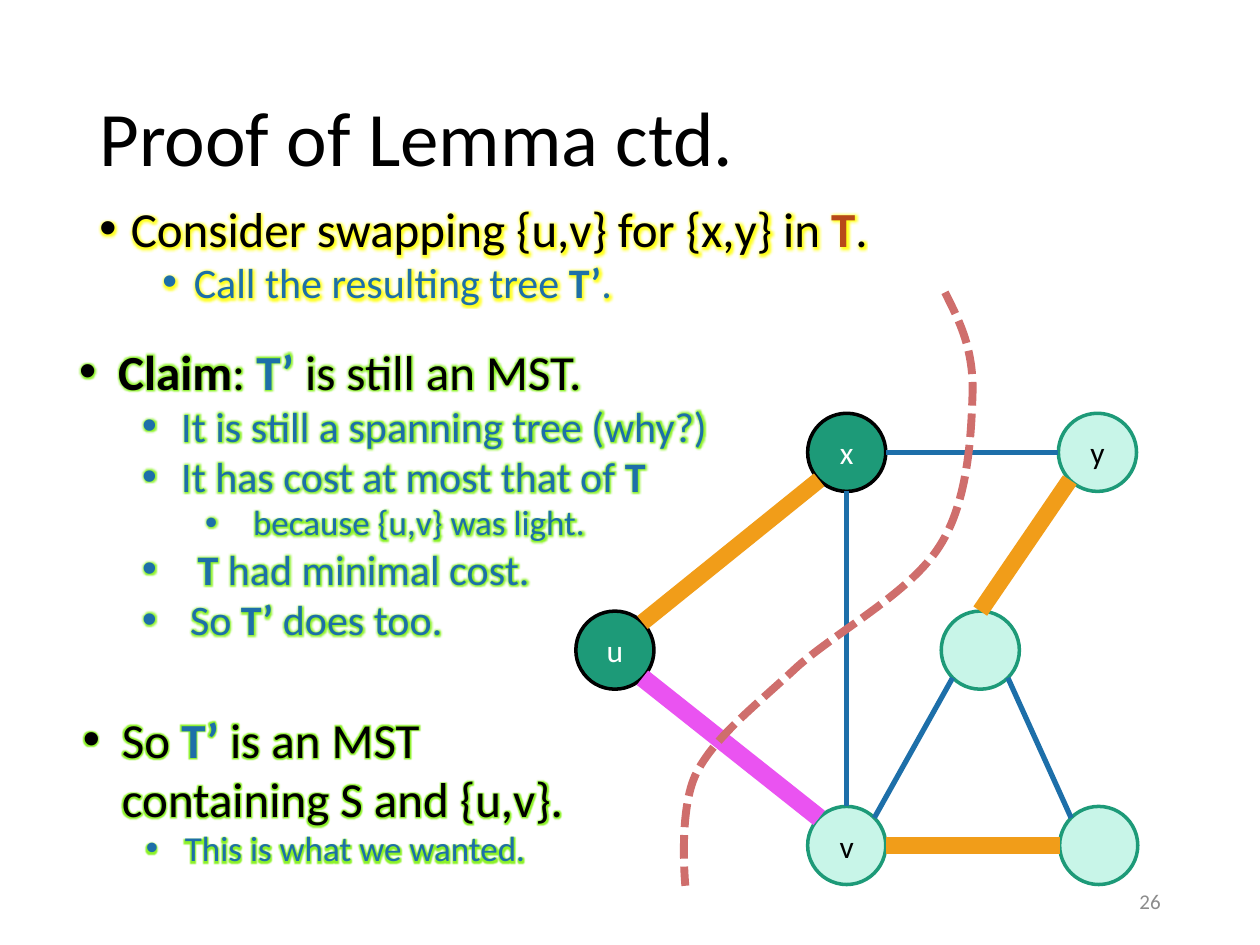
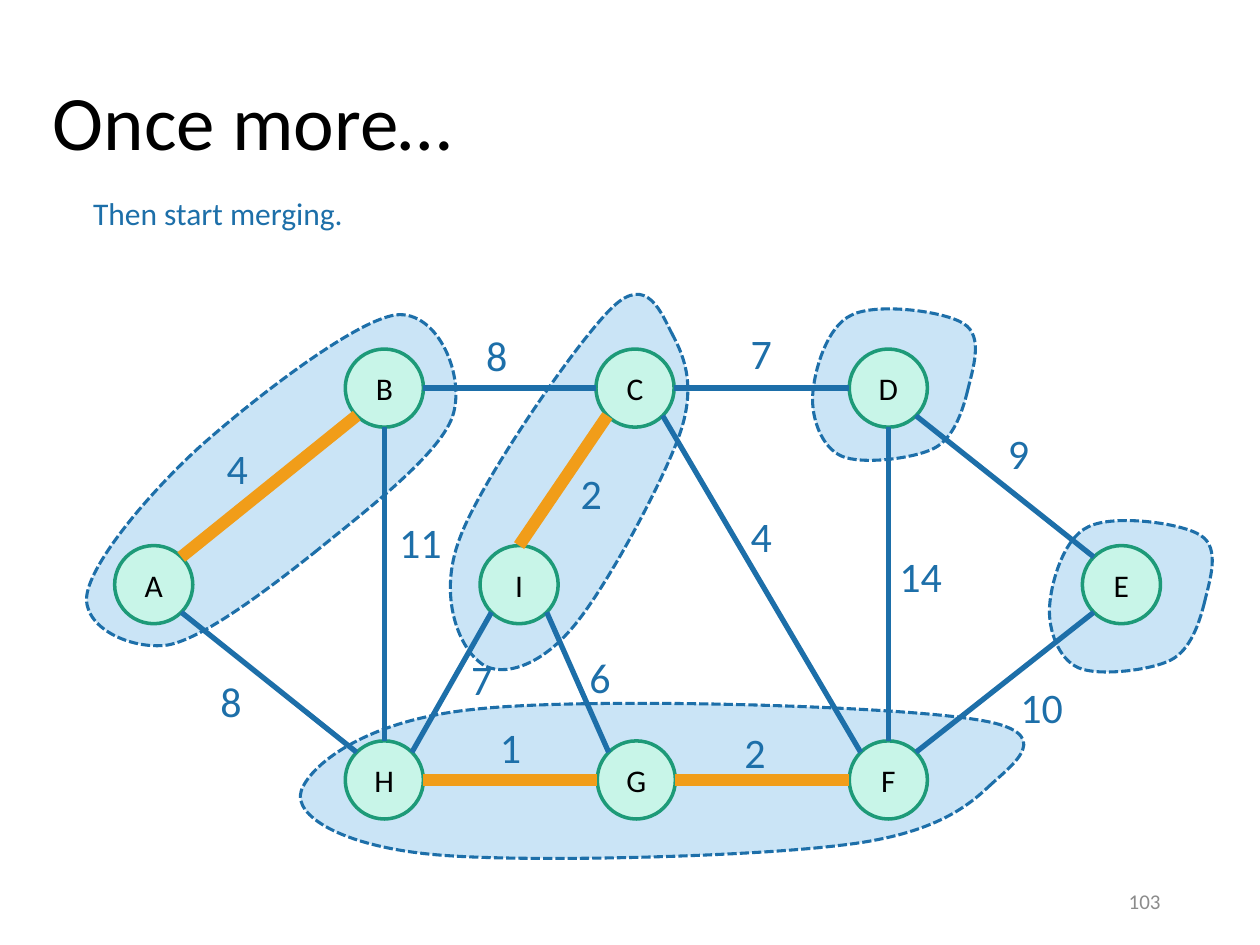
import math
from typing import NamedTuple

from lxml import etree
from pptx import Presentation
from pptx import util as u
from pptx.dml.color import RGBColor
from pptx.enum import dml, shapes, text
from pptx.oxml.ns import qn

FONT = "Calibri"
BLACK, WHITE, GREY = "000000", "FFFFFF", "8C8C8C"
BLUE, SKY, RUST = "1D6FA9", "CAE4F6", "B74919"
TEAL, MINT = "1D9A78", "C8F5E8"
ORANGE, PINK, ROSE = "F19D19", "EA53F1", "CF6E6C"
LEMON, LIME = "FFFF00", "80F010"
SIZE = 0.62  # node diameter


class Run(NamedTuple):
    words: str
    bold: bool = False
    color: str = ""


class Para(NamedTuple):
    runs: list[Run]
    size: float
    color: str = BLACK
    margin: float = 0
    hang: float = 0
    before: float = 0


class Node(NamedTuple):
    name: str
    left: float
    top: float
    label: str = ""
    dark: bool = False


class Edge(NamedTuple):
    """A line between two nodes, each end at a compass point of its circle."""
    start: str
    side: str
    end: str
    into: str
    color: str = BLUE
    width: float = 3


class Label(NamedTuple):
    words: str
    left: float
    top: float


def rgb(color: str) -> RGBColor:
    return RGBColor.from_string(color)


def add_glow(run, color: str, radius: float = 5) -> None:
    props = run._r.get_or_add_rPr()
    fx = etree.SubElement(props, qn("a:effectLst"))
    glow = etree.SubElement(fx, qn("a:glow"), rad=str(u.Pt(radius)))
    tint = etree.SubElement(glow, qn("a:srgbClr"), val=color)
    etree.SubElement(tint, qn("a:alpha"), val="90000")


def fill_para(para, item: Para, glow: str) -> None:
    if item.hang:
        props = para._p.get_or_add_pPr()
        props.set("marL", str(u.Inches(item.margin)))
        props.set("indent", str(-u.Inches(item.hang)))
        etree.SubElement(props, qn("a:buFont"), typeface="Arial")
        etree.SubElement(props, qn("a:buChar"), char="•")
    para.font.name, para.font.size = FONT, u.Pt(item.size)
    para.font.color.rgb = rgb(item.color)
    if item.before:
        para.space_before = u.Pt(item.before)
    for part in item.runs:
        run = para.add_run()
        run.text = part.words
        if part.bold:
            run.font.bold = True
        if part.color:
            run.font.color.rgb = rgb(part.color)
        if glow:
            add_glow(run, glow)


def add_text(slide, at: tuple[float, ...], paras: list[Para], glow: str = "",
             pitch: float = 1, middle: bool = False, right: bool = False) -> None:
    frame = slide.shapes.add_textbox(*map(u.Inches, at)).text_frame
    frame.word_wrap = True
    if middle:
        frame.vertical_anchor = text.MSO_ANCHOR.MIDDLE
    for i, item in enumerate(paras):
        para = frame.add_paragraph() if i else frame.paragraphs[0]
        if pitch != 1:
            para.line_spacing = pitch
        if right:
            para.alignment = text.PP_ALIGN.RIGHT
        fill_para(para, item, glow)


def new_slide(deck, title: str, at: tuple[float, ...], page: int):
    slide = deck.slides.add_slide(deck.slide_layouts[6])
    add_text(slide, at, [Para([Run(title)], 44)], pitch=0.9, middle=True)
    add_text(slide, (7.06, 6.95, 2.25, 0.4),
             [Para([Run(str(page))], 12, GREY)], middle=True, right=True)
    return slide


def add_node(slide, node: Node) -> None:
    oval = slide.shapes.add_shape(
        shapes.MSO_SHAPE.OVAL, u.Inches(node.left), u.Inches(node.top),
        u.Inches(SIZE), u.Inches(SIZE))
    oval.shadow.inherit = False
    oval.fill.solid()
    oval.fill.fore_color.rgb = rgb(TEAL if node.dark else MINT)
    oval.line.color.rgb = rgb(BLACK if node.dark else TEAL)
    oval.line.width = u.Pt(2)
    if node.label:
        para = oval.text_frame.paragraphs[0]
        para.alignment = text.PP_ALIGN.CENTER
        fill_para(para, Para([Run(node.label)], 18, WHITE if node.dark else BLACK), "")


def rim(node: Node, side: str) -> tuple[int, int]:
    """Point on the circle at a compass direction such as N or SE."""
    dx = ("E" in side) - ("W" in side)
    dy = ("S" in side) - ("N" in side)
    reach = SIZE / 2 / math.hypot(dx, dy)
    return (u.Inches(node.left + SIZE / 2 + dx * reach),
            u.Inches(node.top + SIZE / 2 + dy * reach))


def add_graph(slide, nodes: list[Node], edges: list[Edge]) -> None:
    for node in nodes:
        add_node(slide, node)
    known = {node.name: node for node in nodes}
    for edge in edges:
        line = slide.shapes.add_connector(
            shapes.MSO_CONNECTOR.STRAIGHT,
            *rim(known[edge.start], edge.side), *rim(known[edge.end], edge.into))
        line.line.color.rgb = rgb(edge.color)
        line.line.width = u.Pt(edge.width)
        etree.SubElement(line._element.spPr, qn("a:effectLst"))


def add_curve(slide, dots: list[tuple[float, float]], color: str,
              width: float, fill: str = "") -> None:
    """Dashed Bezier outline: a start, then two handles and an end per piece."""
    first, *rest = [(u.Inches(x), u.Inches(y)) for x, y in dots]
    pen = slide.shapes.build_freeform(*first)
    pen.add_line_segments(rest, close=bool(fill))
    shape = pen.convert_to_shape()
    steps = list(shape._element.iter(qn("a:lnTo")))
    for i in range(0, len(steps), 3):
        curve = etree.Element(qn("a:cubicBezTo"))
        steps[i].addprevious(curve)
        for step in steps[i:i + 3]:
            curve.append(step[0])
            step.getparent().remove(step)
    shape.shadow.inherit = False
    if fill:
        shape.fill.solid()
        shape.fill.fore_color.rgb = rgb(fill)
    else:
        shape.fill.background()
    shape.line.color.rgb = rgb(color)
    shape.line.width = u.Pt(width)
    shape.line.dash_style = dml.MSO_LINE.SQUARE_DOT


def build_proof(deck) -> None:
    slide = new_slide(deck, "Proof of Lemma ctd.", (0.69, 0.4, 8.62, 1.45), 26)
    prime = Run("T’ ", True, BLUE)
    add_text(slide, (0.69, 1.62, 7.03, 0.95), [
        Para([Run("Consider swapping {u,v} for {x,y} in "), Run("T", True, RUST),
              Run(".")], 28, BLACK, 0.25, 0.25),
        Para([Run("Call the resulting tree "), Run("T’", True), Run(".")],
             24, BLUE, 0.75, 0.25, 5),
    ], LEMON, 0.8)
    add_text(slide, (0.53, 2.66, 5.35, 2.52), [
        Para([Run("Claim", True), Run(": "), prime, Run("is still an MST.")],
             28, BLACK, 0.31, 0.31),
        Para([Run("It is still a spanning tree (why?)")], 24, BLUE, 0.81, 0.31),
        Para([Run("It has cost at most that of "), Run("T", True)],
             24, BLUE, 0.81, 0.31),
        Para([Run("because {u,v} was light.")], 20, BLUE, 1.38, 0.38),
        Para([Run("T ", True), Run("had minimal cost.")], 24, BLUE, 0.94, 0.44),
        Para([Run("So "), prime, Run("does too.")], 24, BLUE, 0.88, 0.38),
    ], LIME)
    add_text(slide, (0.56, 5.58, 4.17, 1.85), [
        Para([Run("So "), prime, Run("is an MST containing S and {u,v}.")],
             28, BLACK, 0.31, 0.31),
        Para([Run("This is what we wanted.")], 20, BLUE, 0.81, 0.31),
    ], LIME)
    add_graph(slide, [
        Node("y", 8.4, 3.28, "y"), Node("x", 6.41, 3.28, "x", True),
        Node("u", 4.57, 4.85, "u", True), Node("v", 6.41, 6.4, "v"),
        Node("corner", 8.41, 6.4), Node("inner", 7.47, 4.85),
    ], [
        Edge("inner", "SE", "corner", "NW"),
        Edge("inner", "N", "y", "SW", ORANGE, 9.5),
        Edge("x", "E", "y", "W"),
        Edge("u", "NE", "x", "SW", ORANGE, 9.5),
        Edge("u", "SE", "v", "NW", PINK, 10.5),
        Edge("corner", "W", "v", "E", ORANGE, 9.5),
        Edge("inner", "SW", "v", "NE"),
        Edge("v", "N", "x", "S"),
    ])
    cut = [(7.5, 2.32), (7.61, 2.54), (7.72, 2.75), (7.72, 3.09), (7.71, 3.43),
           (7.69, 3.97), (7.46, 4.33), (7.23, 4.7), (6.66, 5), (6.33, 5.29),
           (6.01, 5.59), (5.68, 5.84), (5.53, 6.13), (5.38, 6.42), (5.44, 7.03),
           (5.44, 7.03)]
    add_curve(slide, cut, ROSE, 4.5)


def build_merge(deck) -> None:
    slide = new_slide(deck, "Once more…", (0.32, 0.04, 9.72, 1.91), 103)
    add_text(slide, (0.64, 1.49, 4.54, 0.4),
             [Para([Run("Then start merging.")], 18, BLUE)])
    lone = [(9.56, 4.78), (9.6, 4.61), (9.69, 4.35), (9.53, 4.25), (9.38, 4.15),
            (8.84, 4.08), (8.64, 4.18), (8.44, 4.27), (8.34, 4.63), (8.33, 4.82),
            (8.32, 5), (8.4, 5.23), (8.56, 5.3), (8.72, 5.37), (9.13, 5.32),
            (9.29, 5.24), (9.45, 5.16), (9.52, 4.94), (9.56, 4.78)]
    blobs = [
        lone,
        [(x - 1.88, y - 1.68) for x, y in lone],
        [(5.34, 2.66), (5.25, 2.49), (5.14, 2.17), (4.86, 2.44), (4.58, 2.71),
         (3.82, 3.81), (3.65, 4.27), (3.47, 4.74), (3.65, 5.13), (3.8, 5.25),
         (3.94, 5.38), (4.24, 5.32), (4.51, 5.02), (4.78, 4.73), (5.25, 3.85),
         (5.39, 3.46), (5.53, 3.07), (5.43, 2.83), (5.34, 2.66)],
        [(2.49, 4.39), (2.87, 4.08), (3.48, 3.62), (3.59, 3.31), (3.7, 3),
         (3.48, 2.46), (3.14, 2.5), (2.8, 2.55), (1.97, 3.2), (1.56, 3.57),
         (1.16, 3.94), (0.73, 4.46), (0.69, 4.72), (0.65, 4.98), (1.04, 5.16),
         (1.33, 5.12), (1.61, 5.07), (2.11, 4.69), (2.49, 4.39)],
        [(7.85, 6.24), (8.03, 6.07), (8.42, 5.81), (7.74, 5.71), (7.06, 5.6),
         (4.65, 5.53), (3.76, 5.63), (2.87, 5.72), (2.45, 6.09), (2.39, 6.28),
         (2.33, 6.47), (2.7, 6.71), (3.42, 6.78), (4.13, 6.85), (5.93, 6.8),
         (6.66, 6.71), (7.39, 6.63), (7.67, 6.41), (7.85, 6.24)],
    ]
    for blob in blobs:
        add_curve(slide, blob, BLUE, 1.75, SKY)
    rows = [
        (2.77, [("D", 6.74), ("C", 4.73), ("B", 2.74)]),
        (4.33, [("A", 0.91), ("I", 3.81), ("E", 8.59)]),
        (5.88, [("H", 2.74), ("G", 4.74), ("F", 6.74)]),
    ]
    add_graph(slide, [Node(name, left, top, name)
                      for top, row in rows for name, left in row], [
        Edge("C", "SE", "F", "NW"), Edge("C", "E", "D", "W"),
        Edge("E", "NW", "D", "SE"), Edge("E", "SW", "F", "NE"),
        Edge("D", "S", "F", "N"), Edge("I", "SE", "G", "NW"),
        Edge("G", "E", "F", "W", ORANGE, 7), Edge("I", "N", "C", "SW", ORANGE, 7),
        Edge("B", "E", "C", "W"), Edge("A", "NE", "B", "SW", ORANGE, 7),
        Edge("A", "SE", "H", "NW"), Edge("G", "W", "H", "E", ORANGE, 7),
        Edge("I", "SW", "H", "NE"), Edge("H", "N", "B", "S"),
    ])
    costs = [
        Label("7", 5.86, 2.55), Label("9", 7.9, 3.34), Label("10", 8, 5.36),
        Label("14", 7.04, 4.32), Label("4", 5.86, 4), Label("2", 5.81, 5.72),
        Label("2", 4.51, 3.66), Label("1", 3.87, 5.68), Label("7", 3.64, 5.14),
        Label("6", 4.58, 5.12), Label("8", 1.65, 5.31), Label("11", 3.07, 4.05),
        Label("8", 3.76, 2.57), Label("4", 1.7, 3.46),
    ]
    for cost in costs:
        add_text(slide, (cost.left, cost.top, 0.86, 0.5),
                 [Para([Run(cost.words)], 24, BLUE)])


def main() -> None:
    deck = Presentation()
    deck.slide_width, deck.slide_height = u.Inches(10), u.Inches(7.5)
    build_proof(deck)
    build_merge(deck)
    deck.save("out.pptx")


if __name__ == "__main__":
    main()
